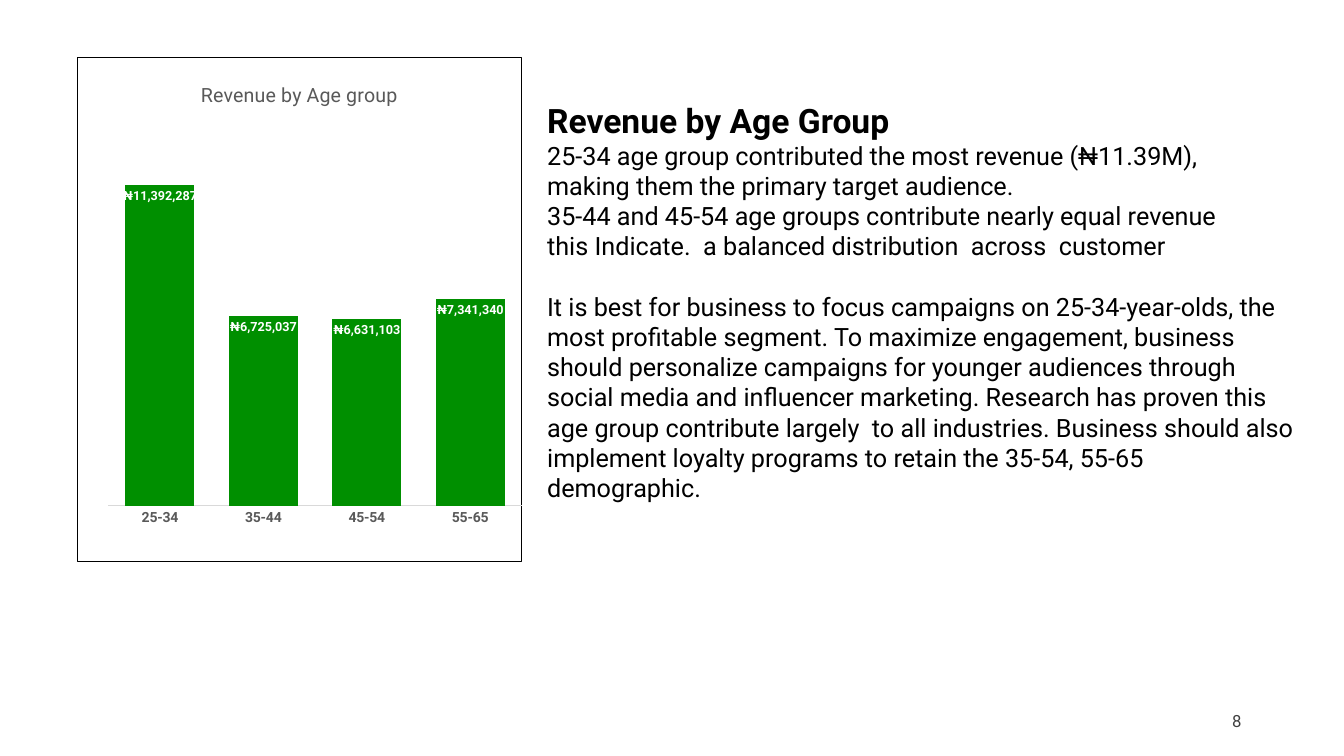
import pptx
import pptx.util
import pptx.chart.data
import pptx.dml.color
import pptx.enum.chart
import pptx.enum.text
import pptx.oxml
import pptx.oxml.ns

Pt = pptx.util.Pt
RGBColor = pptx.dml.color.RGBColor
chart_enum = pptx.enum.chart

FONT = "Roboto"
BLACK = RGBColor(0x00, 0x00, 0x00)
WHITE = RGBColor(0xFF, 0xFF, 0xFF)
GREEN = RGBColor(0x00, 0x8F, 0x00)
GREY = RGBColor(0x59, 0x59, 0x59)
DARK_GREY = RGBColor(0x40, 0x40, 0x40)
PALE_GREY = RGBColor(0xD9, 0xD9, 0xD9)

SLIDE_SIZE = (960, 540)
CHART_AREA = (54.75, 40.5, 318.5, 360.75)
INSIGHT_AREA = (383.76, 67.68, 554.4, 319.68)
NUMBER_AREA = (678, 500.4, 216, 28.8)

CHART_TITLE = "Revenue by Age group"
REVENUE = {"25-34": 11392287, "35-44": 6725037, "45-54": 6631103, "55-65": 7341340}
NAIRA_FORMAT = '"₦"#,##0'
TITLE_LAYOUT = {"xMode": "edge", "yMode": "edge", "x": 0.27, "y": 0.04}
PLOT_LAYOUT = {"layoutTarget": "inner", "xMode": "edge", "yMode": "edge",
               "x": 0.07, "y": 0.22, "w": 0.93, "h": 0.67}

HEADING = {"size": Pt(24), "bold": True, "color": BLACK}
BODY = {"size": Pt(18), "bold": False, "color": BLACK}
INSIGHTS = [
    ("Revenue by Age Group", HEADING, 0),
    ("25-34 age group contributed the most revenue (₦11.39M),", BODY, 0),
    ("making them the primary target audience.", BODY, 0),
    ("35-44 and 45-54 age groups contribute nearly equal revenue", BODY, 0),
    ("this Indicate.  a balanced distribution  across  customer", BODY, 0),
    ("It is best for business to focus campaigns on 25-34-year-olds, the most "
     "profitable segment. To maximize engagement, business  should personalize "
     "campaigns for younger audiences through social media and influencer marketing. "
     "Research has proven this age group contribute largely  to all industries. "
     "Business should also implement loyalty programs to retain the 35-54, 55-65 "
     "demographic.", BODY, 21.5),
]
PAGE_NUMBER = [("8", {"size": Pt(12), "bold": False, "color": DARK_GREY}, 0)]


def set_font(font, style):
    font.name = FONT
    for name, value in style.items():
        if name == "color":
            font.color.rgb = value
        else:
            setattr(font, name, value)


def add_text(page, area, lines, align, anchor):
    frame = page.shapes.add_textbox(*map(Pt, area)).text_frame
    frame.word_wrap = True
    frame.vertical_anchor = anchor
    for index, (text, style, gap) in enumerate(lines):
        para = frame.paragraphs[0] if index == 0 else frame.add_paragraph()
        para.alignment = align
        para.space_before = Pt(gap)
        span = para.add_run()
        span.text = text
        set_font(span.font, style)


def place(element, layout, before):
    """Give a chart part a manual layout, put ahead of the first child named in before."""
    for old in element.findall(pptx.oxml.ns.qn("c:layout")):
        element.remove(old)
    values = "".join(f'<c:{name} val="{value}"/>' for name, value in layout.items())
    node = pptx.oxml.parse_xml(
        f'<c:layout {pptx.oxml.ns.nsdecls("c")}>'
        f"<c:manualLayout>{values}</c:manualLayout></c:layout>")
    element.find(pptx.oxml.ns.qn(before)).addprevious(node)


def add_revenue_chart(page):
    data = pptx.chart.data.CategoryChartData(number_format=NAIRA_FORMAT)
    data.categories = list(REVENUE)
    data.add_series("Series 1", list(REVENUE.values()))
    chart = page.shapes.add_chart(
        chart_enum.XL_CHART_TYPE.COLUMN_CLUSTERED, *map(Pt, CHART_AREA), data).chart
    chart.has_legend = False
    set_font(chart.font, {"size": Pt(10), "color": BLACK})

    chart.has_title = True
    title = chart.chart_title
    title.text_frame.text = CHART_TITLE
    set_font(title.text_frame.paragraphs[0].runs[0].font,
             {"size": Pt(14), "bold": False, "color": GREY})
    title.include_in_layout = False
    place(title._element, TITLE_LAYOUT, "c:overlay")

    ages = chart.category_axis
    ages.major_tick_mark = chart_enum.XL_TICK_MARK.NONE
    ages.format.line.color.rgb = PALE_GREY
    ages.format.line.width = Pt(0.75)
    set_font(ages.tick_labels.font, {"size": Pt(10), "bold": True, "color": GREY})

    amounts = chart.value_axis
    for name, value in {"visible": False, "has_major_gridlines": False,
                        "minimum_scale": 0, "maximum_scale": 12000000}.items():
        setattr(amounts, name, value)

    plot = chart.plots[0]
    for name, value in {"gap_width": 50, "overlap": -27,
                        "vary_by_categories": False, "has_data_labels": True}.items():
        setattr(plot, name, value)
    columns = plot.series[0].format.fill
    columns.solid()
    columns.fore_color.rgb = GREEN
    labels = plot.data_labels
    for name, value in {"show_value": True, "number_format": NAIRA_FORMAT,
                        "number_format_is_linked": False,
                        "position": chart_enum.XL_LABEL_POSITION.INSIDE_END}.items():
        setattr(labels, name, value)
    set_font(labels.font, {"size": Pt(9), "bold": True, "color": WHITE})

    space = chart._chartSpace
    place(space.chart.plotArea, PLOT_LAYOUT, "c:barChart")
    space.chart.addnext(pptx.oxml.parse_xml(
        f'<c:spPr {pptx.oxml.ns.nsdecls("c", "a")}><a:noFill/>'
        f'<a:ln w="{Pt(0.75)}"><a:solidFill><a:srgbClr val="{BLACK}"/></a:solidFill>'
        "</a:ln></c:spPr>"))


def main():
    deck = pptx.Presentation()
    deck.slide_width, deck.slide_height = map(Pt, SLIDE_SIZE)
    page = deck.slides.add_slide(deck.slide_layouts[6])
    align, anchor = pptx.enum.text.PP_ALIGN, pptx.enum.text.MSO_ANCHOR
    add_text(page, NUMBER_AREA, PAGE_NUMBER, align.RIGHT, anchor.MIDDLE)
    add_revenue_chart(page)
    add_text(page, INSIGHT_AREA, INSIGHTS, align.LEFT, anchor.TOP)
    deck.save("out.pptx")


if __name__ == "__main__":
    main()
